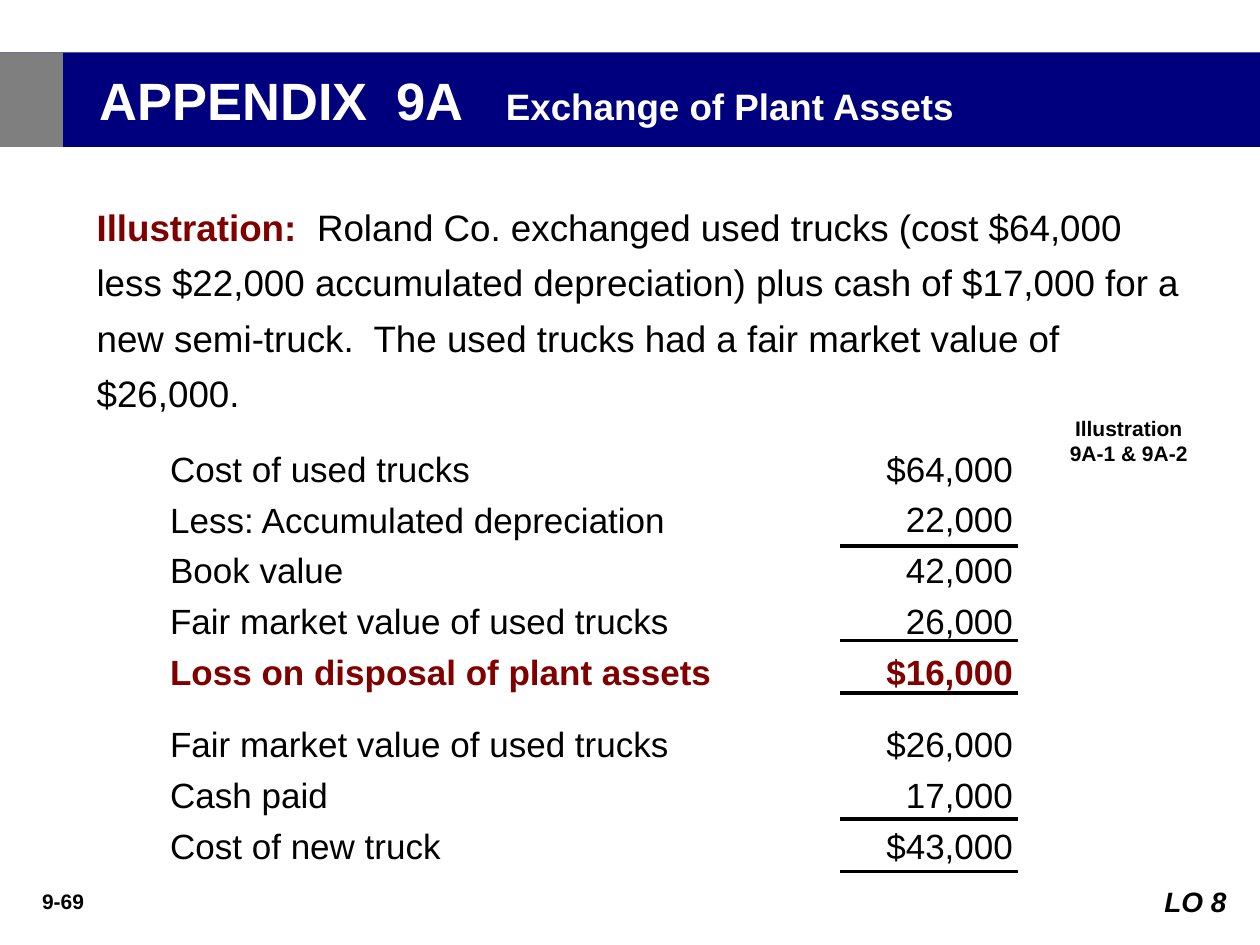
from dataclasses import dataclass

from lxml import etree
from pptx import Presentation
from pptx.dml.color import RGBColor
from pptx.enum.shapes import MSO_CONNECTOR, MSO_SHAPE
from pptx.enum.text import MSO_ANCHOR, MSO_AUTO_SIZE, PP_ALIGN
from pptx.oxml.ns import qn
from pptx.util import Pt

LEFT, CENTER, RIGHT = PP_ALIGN.LEFT, PP_ALIGN.CENTER, PP_ALIGN.RIGHT
TOP, MIDDLE = MSO_ANCHOR.TOP, MSO_ANCHOR.MIDDLE
FIXED = MSO_AUTO_SIZE.NONE
RECT = MSO_SHAPE.RECTANGLE
STRAIGHT = MSO_CONNECTOR.STRAIGHT


@dataclass(frozen=True)
class Theme:
    font: str = "Arial"
    ink: str = "000000"
    paper: str = "FFFFFF"
    navy: str = "00007F"
    gray: str = "7F7F7F"
    accent: str = "800000"
    head: float = 30
    lead: float = 21
    row: float = 20
    goal: float = 16
    small: float = 12


THEME = Theme()

STORY = (
    "  Roland Co. exchanged used trucks (cost $64,000 less $22,000 "
    "accumulated depreciation) plus cash of $17,000 for a new semi-truck.  "
    "The used trucks had a fair market value of $26,000."
)
LOSS = [
    ("Cost of used trucks", "$64,000"),
    ("Less: Accumulated depreciation", "22,000"),
    ("Book value", "42,000"),
    ("Fair market value of used trucks", "26,000"),
    ("Loss on disposal of plant assets", "$16,000"),
]
COST = [
    ("Fair market value of used trucks", "$26,000"),
    ("Cash paid", "17,000"),
    ("Cost of new truck", "$43,000"),
]
RULES = [312, 366, 396, 468, 498]


def paint(fill, color):
    fill.solid()
    fill.fore_color.rgb = RGBColor.from_string(color)


def place(shape, left, top, width, height):
    shape.left, shape.top = Pt(left), Pt(top)
    shape.width, shape.height = Pt(width), Pt(height)


def set_frame(shape, inset=7.2, anchor=TOP):
    frame = shape.text_frame
    frame.word_wrap = True
    frame.auto_size = FIXED
    frame.vertical_anchor = anchor
    frame.margin_left, frame.margin_right = Pt(inset), Pt(7.2)
    frame.margin_top = frame.margin_bottom = Pt(3.6)
    return frame


def set_para(para, align=LEFT, before=0, lines=1.0):
    para.alignment = align
    para.space_before, para.space_after = Pt(before), Pt(0)
    para.line_spacing = lines
    props = para._p.get_or_add_pPr()
    props.set("marL", "0")
    props.set("indent", "0")
    etree.SubElement(props, qn("a:buNone"))


def add_run(para, text, size, color=THEME.ink, bold=False, slant=False):
    run = para.add_run()
    run.text = text
    font = run.font
    font.name, font.size = THEME.font, Pt(size)
    font.bold, font.italic = bold, slant
    font.color.rgb = RGBColor.from_string(color)


def add_label(slide, area, text, size, align=CENTER, color=THEME.ink, slant=False):
    box = slide.shapes.add_textbox(*map(Pt, area))
    para = set_frame(box).paragraphs[0]
    set_para(para, align)
    add_run(para, text, size, color, True, slant)


def add_rule(slide, y):
    line = slide.shapes.add_connector(STRAIGHT, Pt(480), Pt(y), Pt(582), Pt(y))
    line.line.width = Pt(2.25)
    line.line.color.rgb = RGBColor.from_string(THEME.ink)
    etree.SubElement(line._element.spPr, qn("a:effectLst"))


def fill_title(slide, title):
    place(title, 0, 30, 720, 54)
    paint(title.fill, THEME.navy)
    para = set_frame(title, 56.9, MIDDLE).paragraphs[0]
    set_para(para)
    add_run(para, "APPENDIX  9A", THEME.head, THEME.paper, True)
    area = (282, 44.3, 300, 31.4)
    add_label(slide, area, "Exchange of Plant Assets", THEME.lead, LEFT, THEME.paper)
    block = slide.shapes.add_shape(RECT, Pt(0), Pt(30), Pt(36), Pt(54))
    block.shadow.inherit = False
    paint(block.fill, THEME.gray)
    block.line.fill.background()


def fill_story(body):
    place(body, 48, 107.3, 642, 133.2)
    para = set_frame(body).paragraphs[0]
    set_para(para, lines=1.25)
    add_run(para, "Illustration:", THEME.lead, THEME.accent, True)
    add_run(para, STORY, THEME.lead)


def fill_column(shape, texts, align):
    frame = set_frame(shape)
    for i, text in enumerate(texts):
        para = frame.add_paragraph() if i else frame.paragraphs[0]
        gap = 17.5 if i == len(LOSS) else 5
        set_para(para, align, gap if i else 0)
        loss = i == len(LOSS) - 1
        color = THEME.accent if loss else THEME.ink
        add_run(para, text, THEME.row, color, loss)


def fill_ledger(slide, body):
    names, sums = zip(*LOSS, *COST)
    place(body, 90, 252, 384, 247)
    fill_column(body, names, LEFT)
    box = slide.shapes.add_textbox(Pt(474), Pt(252), Pt(112), Pt(247))
    fill_column(box, sums, RIGHT)
    for y in RULES:
        add_rule(slide, y)


def main():
    deck = Presentation()
    deck.slide_width, deck.slide_height = Pt(720), Pt(540)
    slide = deck.slides.add_slide(deck.slide_layouts[3])
    title, story, ledger = slide.placeholders
    fill_title(slide, title)
    fill_story(story)
    fill_ledger(slide, ledger)
    add_label(slide, (594, 234, 102, 36), "Illustration 9A-1 & 9A-2", THEME.small)
    add_label(slide, (6, 504, 60, 21.6), "9-69", THEME.small)
    goal = (642, 502, 66, 26.6)
    add_label(slide, goal, "LO 8", THEME.goal, RIGHT, slant=True)
    deck.save("out.pptx")


if __name__ == "__main__":
    main()
